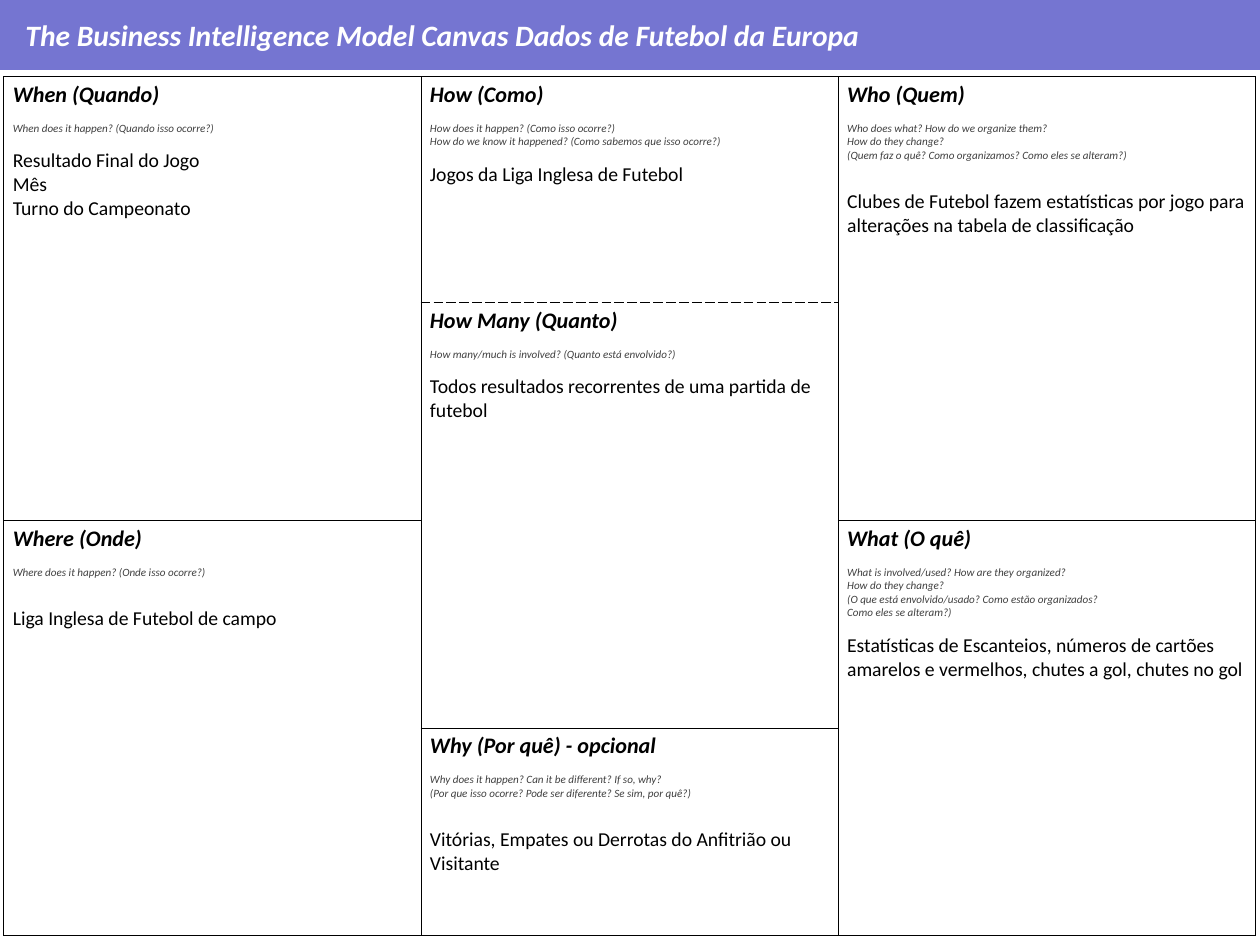
"""Build a one-page business intelligence model canvas."""
from lxml import etree
from pptx import Presentation
from pptx.dml.color import RGBColor
from pptx.enum import text
from pptx.oxml import ns
from pptx.util import Pt

TITLE = "The Business Intelligence Model Canvas Dados de Futebol da Europa"
PANELS = [
    (0, 0, 2, "When (Quando)",
     ["When does it happen? (Quando isso ocorre?)"],
     11, ["Resultado Final do Jogo", "Mês", "Turno do Campeonato"]),
    (0, 1, 1, "How (Como)",
     ["How does it happen? (Como isso ocorre?)",
      "How do we know it happened? (Como sabemos que isso ocorre?)"],
     11, ["Jogos da Liga Inglesa de Futebol"]),
    (0, 2, 2, "Who (Quem)",
     ["Who does what? How do we organize them?",
      "How do they change?",
      "(Quem faz o quê? Como organizamos? Como eles se alteram?)"],
     22, ["Clubes de Futebol fazem estatísticas por jogo para alterações na tabela de classificação"]),
    (1, 1, 2, "How Many (Quanto)",
     ["How many/much is involved? (Quanto está envolvido?)"],
     11, ["Todos resultados recorrentes de uma partida de futebol"]),
    (2, 0, 2, "Where (Onde)",
     ["Where does it happen? (Onde isso ocorre?)"],
     22, ["Liga Inglesa de Futebol de campo"]),
    (2, 2, 2, "What (O quê)",
     ["What is involved/used? How are they organized?",
      "How do they change?",
      "(O que está envolvido/usado? Como estão organizados?",
      "Como eles se alteram?)"],
     11, ["Estatísticas de Escanteios, números de cartões amarelos e vermelhos, chutes a gol, chutes no gol"]),
    (3, 1, 1, "Why (Por quê) - opcional",
     ["Why does it happen? Can it be different? If so, why?",
      "(Por que isso ocorre? Pode ser diferente? Se sim, por quê?)"],
     22, ["Vitórias, Empates ou Derrotas do Anfitrião ou Visitante"]),
]
DASHED_EDGES = {(0, 1, "B"), (1, 1, "T")}

FONT = "Calibri"
PURPLE = RGBColor(0x75, 0x75, 0xD1)
WHITE = RGBColor(0xFF, 0xFF, 0xFF)
BLACK = RGBColor(0, 0, 0)
GRAY = RGBColor(0x40, 0x40, 0x40)

PAGE_WIDTH, PAGE_HEIGHT = 1023.84, 767.52
BANNER_HEIGHT = 56.7
TABLE_LEFT, TABLE_TOP = 3.2, 62.4
COLUMN_WIDTH = 339
ROW_HEIGHTS = [183.4, 177.2, 168.5, 168.5]
BORDER_WIDTH = 0.96
HEADING_GAP = 11


def set_font(para, size, color, bold=False, italic=False):
    font = para.font
    font.name, font.size, font.bold, font.italic = FONT, Pt(size), bold, italic
    font.color.rgb = color


def add_title(page):
    title = page.shapes.title
    title.left, title.top = Pt(0), Pt(0)
    title.width, title.height = Pt(PAGE_WIDTH), Pt(BANNER_HEIGHT)
    title.fill.solid()
    title.fill.fore_color.rgb = PURPLE
    frame = title.text_frame
    frame.text = TITLE
    frame.word_wrap = True
    frame.auto_size = text.MSO_AUTO_SIZE.NONE
    frame.vertical_anchor = text.MSO_ANCHOR.MIDDLE
    frame.margin_left = Pt(20.7)
    frame.margin_top = frame.margin_right = frame.margin_bottom = Pt(4.3)
    para = frame.paragraphs[0]
    para.alignment = text.PP_ALIGN.LEFT
    set_font(para, 24, WHITE, bold=True, italic=True)


def set_borders(cell, row, column):
    properties = cell._tc.get_or_add_tcPr()
    for edge in "LRTB":
        line = etree.SubElement(properties, ns.qn(f"a:ln{edge}"), w=str(Pt(BORDER_WIDTH)))
        fill = etree.SubElement(line, ns.qn("a:solidFill"))
        etree.SubElement(fill, ns.qn("a:srgbClr"), val=str(BLACK))
        dash = "dash" if (row, column, edge) in DASHED_EDGES else "solid"
        etree.SubElement(line, ns.qn("a:prstDash"), val=dash)


def fill_panel(cell, heading, questions, answer_gap, answers):
    frame = cell.text_frame
    frame.text = "\n".join([heading, *questions, *answers])
    paras = frame.paragraphs
    first_answer = 1 + len(questions)
    set_font(paras[0], 18, BLACK, bold=True, italic=True)
    for para in paras[1:first_answer]:
        set_font(para, 9, GRAY, italic=True)
    for para in paras[first_answer:]:
        set_font(para, 16, BLACK)
    paras[1].space_before = Pt(HEADING_GAP)
    paras[first_answer].space_before = Pt(answer_gap)


def add_canvas(page):
    columns = 3
    frame = page.shapes.add_table(
        len(ROW_HEIGHTS), columns, Pt(TABLE_LEFT), Pt(TABLE_TOP),
        Pt(columns * COLUMN_WIDTH), Pt(sum(ROW_HEIGHTS)))
    table = frame.table
    table.first_row = table.horz_banding = False
    for column in table.columns:
        column.width = Pt(COLUMN_WIDTH)
    for row_index, height in enumerate(ROW_HEIGHTS):
        table.rows[row_index].height = Pt(height)
        for column_index in range(columns):
            cell = table.cell(row_index, column_index)
            set_borders(cell, row_index, column_index)
            cell.fill.background()
    for row, column, span, *content in PANELS:
        cell = table.cell(row, column)
        if span > 1:
            cell.merge(table.cell(row + span - 1, column))
        fill_panel(cell, *content)


def main():
    deck = Presentation()
    deck.slide_width, deck.slide_height = Pt(PAGE_WIDTH), Pt(PAGE_HEIGHT)
    page = deck.slides.add_slide(deck.slide_layouts.get_by_name("Title Only"))
    add_title(page)
    add_canvas(page)
    deck.save("out.pptx")


if __name__ == "__main__":
    main()
